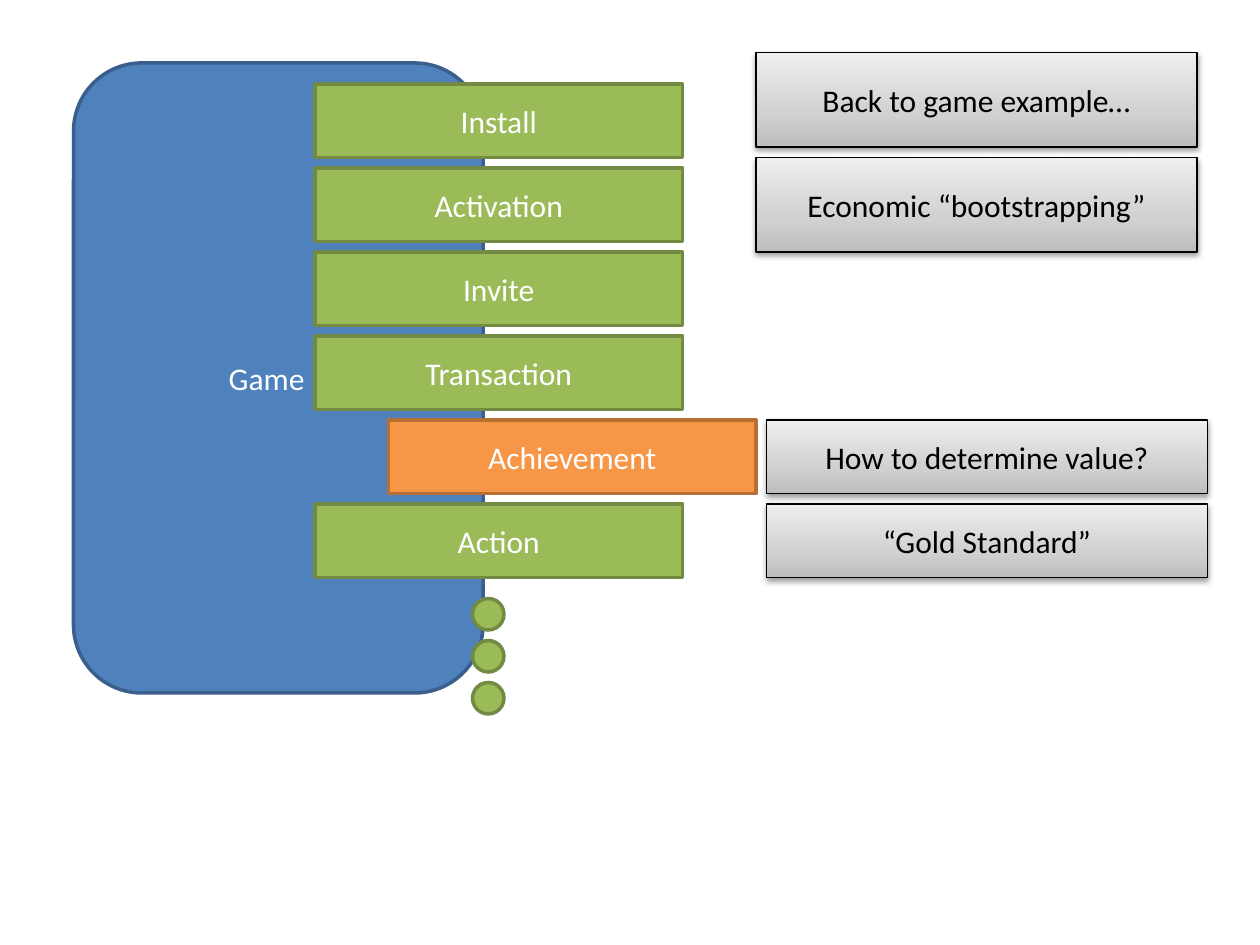
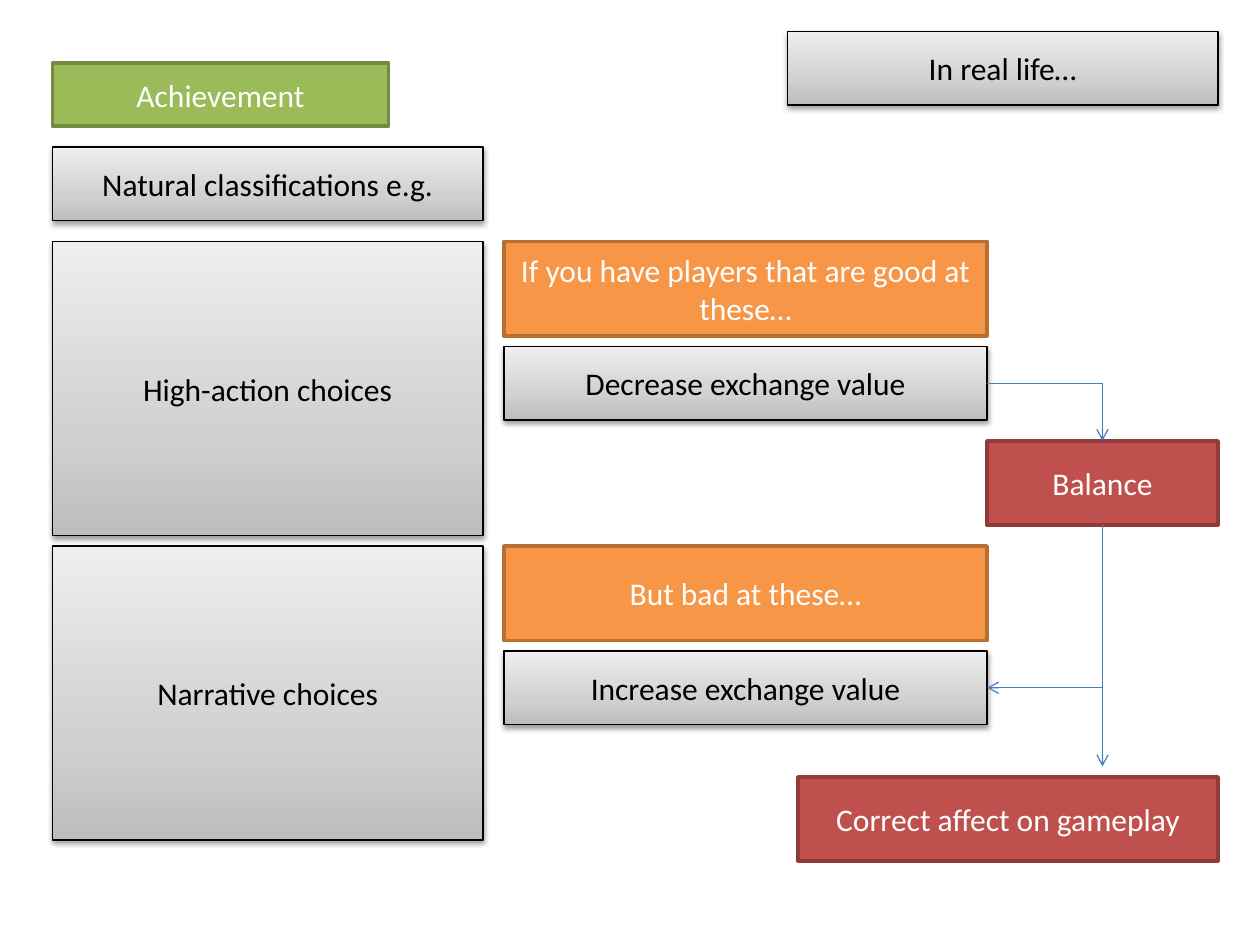
from copy import deepcopy

from lxml.etree import SubElement
from pptx import Presentation
from pptx.dml.color import RGBColor
from pptx.enum.shapes import MSO_CONNECTOR as LINK, MSO_SHAPE as SHAPE
from pptx.enum.text import MSO_ANCHOR, PP_ALIGN
from pptx.oxml.ns import qn
from pptx.util import Cm, Pt

FONT = "Calibri"
BLUE = ("4F81BD", "3A5F8C")
GREEN = ("9BBB59", "738A42")
ORANGE = ("F79646", "B76F34")
RED = ("C0504D", "8E3B39")
GREY_STOPS = ((0, "BDBDBD"), (0.35, "D1D1D1"), (1, "EEEEEE"))
ARROW = "4B7EBC"
BLACK, WHITE = "000000", "FFFFFF"
TOP, BOTTOM, RIGHT = 0, 2, 3


def color(hex_code):
    """Turn a hex string into a colour."""
    return RGBColor.from_string(hex_code)


def grid(steps):
    """Return the length of some grid steps, twelve to the inch."""
    return Cm(steps * 2.54 / 12)


def outlined(slide, kind, box, hex_line, points):
    """Add a shape with an outline and no shadow."""
    shape = slide.shapes.add_shape(kind, *map(grid, box))
    shape.shadow.inherit = False
    shape.line.color.rgb = color(hex_line)
    shape.line.width = Pt(points)
    return shape


def write(shape, words, hex_font):
    """Centre words in a shape."""
    frame = shape.text_frame
    frame.text = words
    frame.word_wrap = True
    frame.vertical_anchor = MSO_ANCHOR.MIDDLE
    paragraph = frame.paragraphs[0]
    paragraph.alignment = PP_ALIGN.CENTER
    font = paragraph.runs[0].font
    font.name, font.size = FONT, Pt(18)
    font.color.rgb = color(hex_font)


def block(slide, box, palette, words="", kind=SHAPE.RECTANGLE):
    """Add a flat coloured block."""
    shape = outlined(slide, kind, box, palette[1], 2)
    shape.fill.solid()
    shape.fill.fore_color.rgb = color(palette[0])
    if words:
        write(shape, words, WHITE)
    return shape


def note(slide, box, words):
    """Add a grey gradient note with a soft shadow."""
    shape = outlined(slide, SHAPE.RECTANGLE, box, BLACK, 0.75)
    fill = shape.fill
    fill.gradient()
    fill.gradient_angle = 90
    stops = shape.element.spPr.find(".//" + qn("a:gsLst"))
    stops.append(deepcopy(stops[0]))
    for stop, (position, tone) in zip(fill.gradient_stops, GREY_STOPS):
        stop.position = position
        stop.color.rgb = color(tone)
    effects = shape.element.spPr.find(qn("a:effectLst"))
    shadow = SubElement(effects, qn("a:outerShdw"), blurRad="40000",
                        dist="20000", dir="5400000", rotWithShape="0")
    tint = SubElement(shadow, qn("a:srgbClr"), val=BLACK)
    SubElement(tint, qn("a:alpha"), val="38000")
    write(shape, words, BLACK)
    return shape


def arrow(slide, start, end, source, target=None, turned=False):
    """Link source to target, with one bend if there is a target."""
    link = slide.shapes.add_connector(
        LINK.ELBOW if target else LINK.STRAIGHT, *map(grid, start + end))
    link.begin_connect(*source)
    properties = link.element.spPr
    if target:
        link.end_connect(*target)
        properties.find(qn("a:prstGeom")).set("prst", "bentConnector2")
    if turned:
        inset = (link.width - link.height) // 2
        link.left, link.top = link.left + inset, link.top - inset
        link.width, link.height = link.height, link.width
        transform = properties.find(qn("a:xfrm"))
        transform.attrib.pop("flipH", None)
        transform.set("rot", "5400000")
    link.line.color.rgb = color(ARROW)
    link.line.width = Pt(0.75)
    SubElement(properties.find(qn("a:ln")), qn("a:tailEnd"), type="arrow")
    SubElement(properties, qn("a:effectLst"))


def game_events(slide, left, top):
    """Draw the game with its column of events."""
    game = block(slide, (left, top, 39, 60), BLUE, "Game",
                 SHAPE.ROUNDED_RECTANGLE)
    game.text_frame.margin_right = Cm(0.72)
    events = ("Install", "Activation", "Invite", "Transaction",
              "Achievement", "Action")
    for row, event in enumerate(events):
        chosen = event == "Achievement"
        block(slide, (left + (30 if chosen else 23), top + 2 + 8 * row, 35, 7),
              ORANGE if chosen else GREEN, event)
    for dot in range(3):
        block(slide, (left + 38, top + 51 + 4 * dot, 3, 3), GREEN,
              kind=SHAPE.OVAL)


def note_stack(slide, left, top, height, notes):
    """Stack notes with a gap of one step."""
    for row, words in enumerate(notes):
        note(slide, (left, top + row * (height + 1), 42, height), words)


def choice_group(slide, left, top, choices, prompt, effect):
    """Draw a class of choices and return the note on its effect."""
    note(slide, (left, top, 41, 28), choices)
    block(slide, (left + 43, top, 46, 9), ORANGE, prompt)
    return note(slide, (left + 43, top + 10, 46, 7), effect)


def balance_flow(slide, left, top, decrease, increase):
    """Draw the balance, its outcome and the arrows around them."""
    middle = left + 11
    balance = block(slide, (left, top, 22, 8), RED, "Balance")
    arrow(slide, (left, top - 5.5), (middle, top),
          (decrease, RIGHT), (balance, TOP))
    arrow(slide, (middle, top + 8), (left, top + 23.5),
          (balance, BOTTOM), (increase, RIGHT), turned=True)
    block(slide, (left - 18, top + 32, 40, 8), RED,
          "Correct affect on gameplay")
    arrow(slide, (middle, top + 8), (middle, top + 31), (balance, BOTTOM))


def bootstrapping_slide(slide):
    """Build the slide on the game example."""
    game_events(slide, 7, 6)
    note_stack(slide, 72, 5, 9,
               ("Back to game example…", "Economic “bootstrapping”"))
    note_stack(slide, 73, 40, 7,
               ("How to determine value?", "“Gold Standard”"))


def achievement_slide(slide):
    """Build the slide on balancing achievements."""
    block(slide, (5, 6, 32, 6), GREEN, "Achievement")
    note(slide, (5, 14, 41, 7), "Natural classifications e.g.")
    note(slide, (75, 3, 41, 7), "In real life…")
    decrease = choice_group(
        slide, 5, 23, "High-action choices",
        "If you have players that are good at these…",
        "Decrease exchange value")
    increase = choice_group(
        slide, 5, 52, "Narrative choices", "But bad at these…",
        "Increase exchange value")
    balance_flow(slide, 94, 42, decrease, increase)


def main():
    """Build and save the presentation."""
    deck = Presentation()
    deck.slide_width, deck.slide_height = Cm(25.4), Cm(19.05)
    for build in (bootstrapping_slide, achievement_slide):
        build(deck.slides.add_slide(deck.slide_layouts[6]))
    deck.save("out.pptx")


main()
